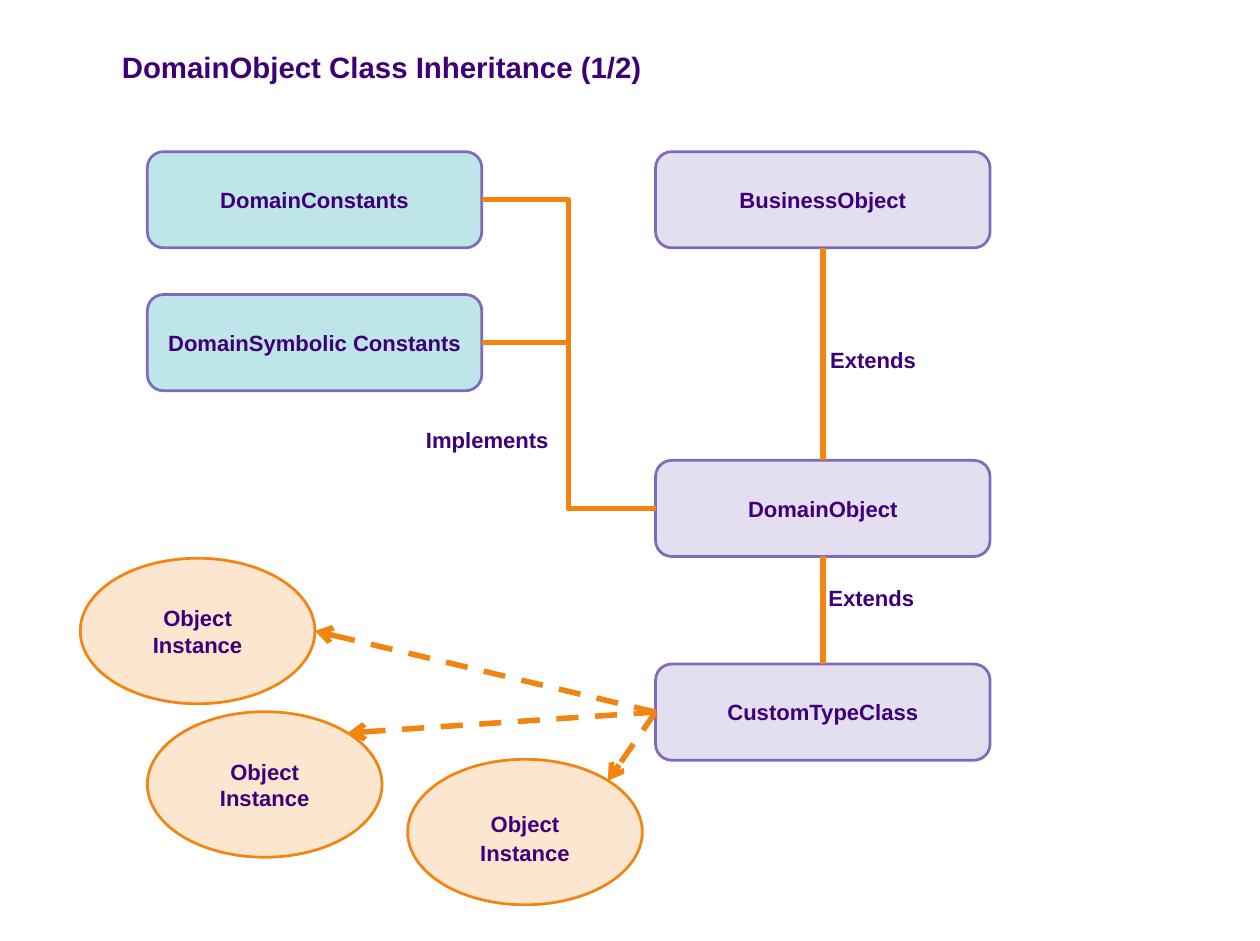
from math import cos, radians, sin

from lxml.etree import SubElement
from pptx import Presentation
from pptx.dml.color import RGBColor
from pptx.enum.dml import MSO_LINE
from pptx.enum.shapes import MSO_CONNECTOR as Link, MSO_SHAPE as Preset
from pptx.enum.text import MSO_ANCHOR, MSO_AUTO_SIZE, PP_ALIGN
from pptx.oxml.ns import qn
from pptx.util import Inches, Pt

COLORS = {
    "text": "3F0077",
    "class": "E3DEF0",
    "interface": "BEE5E8",
    "border": "806ABA",
    "instance": "FCE6CF",
    "accent": "F28411",
}
TOP, LEFT, BOTTOM, RIGHT = range(4)
BOX_SIZE = (3.79, 1.09)
OVAL_SIZE = (2.66, 1.65)
INTERFACE_LEFT, CLASS_LEFT = 1.67, 7.43


def color(name):
    return RGBColor.from_string(COLORS[name])


def add_run(paragraph, text, size=18):
    run = paragraph.add_run()
    run.text = text
    run.font.name = "Arial"
    run.font.size = Pt(size)
    run.font.bold = True
    run.font.color.rgb = color("text")


def set_title(slide, text):
    title = slide.shapes.title
    title.left, title.top = Inches(1.28), Inches(0.5)
    title.width, title.height = Inches(12.47), Inches(0.51)
    title.text_frame.auto_size = MSO_AUTO_SIZE.NONE
    paragraph = title.text_frame.paragraphs[0]
    paragraph.alignment = PP_ALIGN.LEFT
    add_run(paragraph, text, 24)


def add_node(slide, preset, position, size, fill, border, runs):
    shape = slide.shapes.add_shape(preset, *map(Inches, position + size))
    shape.shadow.inherit = False
    shape.fill.solid()
    shape.fill.fore_color.rgb = color(fill)
    shape.line.color.rgb = color(border)
    shape.line.width = Pt(2.25)
    frame = shape.text_frame
    frame.word_wrap = True
    frame.vertical_anchor = MSO_ANCHOR.MIDDLE
    paragraph = frame.paragraphs[0]
    paragraph.alignment = PP_ALIGN.CENTER
    for text, points in runs:
        add_run(paragraph, text, points)
    return shape


def add_box(slide, left, top, fill, name):
    return add_node(slide, Preset.ROUNDED_RECTANGLE, (left, top), BOX_SIZE,
                    fill, "border", [(name, 18)])


def add_instance(slide, left, top, runs):
    return add_node(slide, Preset.OVAL, (left, top), OVAL_SIZE,
                    "instance", "accent", runs)


def add_label(slide, left, top, width, text):
    box = slide.shapes.add_textbox(*map(Inches, (left, top, width, 0.4)))
    box.text_frame.word_wrap = False
    box.text_frame.auto_size = MSO_AUTO_SIZE.SHAPE_TO_FIT_TEXT
    add_run(box.text_frame.paragraphs[0], text)


def add_link(slide, kind, source, source_side, end=(0, 0)):
    connector = slide.shapes.add_connector(kind, 0, 0, *end)
    connector.begin_connect(source, source_side)
    connector.line.color.rgb = color("accent")
    connector.line.width = Pt(4.5)
    SubElement(connector._element.spPr, qn("a:effectLst"))
    return connector


def add_relation(slide, kind, source, source_side, target, target_side):
    connector = add_link(slide, kind, source, source_side)
    connector.end_connect(target, target_side)


def add_instance_arrow(slide, source, oval, angle):
    x = oval.left + oval.width * (1 + cos(radians(angle))) / 2
    y = oval.top + oval.height * (1 - sin(radians(angle))) / 2
    connector = add_link(slide, Link.STRAIGHT, source, LEFT, (int(x), int(y)))
    connector.line.dash_style = MSO_LINE.DASH
    SubElement(connector.get_or_add_ln(), qn("a:tailEnd"), type="arrow")


def main():
    presentation = Presentation()
    presentation.slide_width = Inches(14.28)
    presentation.slide_height = Inches(10.67)
    slide = presentation.slides.add_slide(presentation.slide_layouts[5])
    set_title(slide, "DomainObject Class Inheritance (1/2)")

    business, domain, custom = [
        add_box(slide, CLASS_LEFT, top, "class", name)
        for top, name in [(1.72, "BusinessObject"), (5.22, "DomainObject"),
                          (7.53, "CustomTypeClass")]
    ]
    interfaces = [
        add_box(slide, INTERFACE_LEFT, top, "interface", name)
        for top, name in [(1.72, "DomainConstants"),
                          (3.34, "DomainSymbolic Constants")]
    ]

    for parent, child in [(business, domain), (domain, custom)]:
        add_relation(slide, Link.STRAIGHT, parent, BOTTOM, child, TOP)
    for interface in interfaces:
        add_relation(slide, Link.ELBOW, interface, RIGHT, domain, LEFT)

    add_label(slide, 9.31, 3.88, 1.18, "Extends")
    add_label(slide, 9.29, 6.58, 1.18, "Extends")
    add_label(slide, 4.73, 4.79, 1.6, "Implements")

    plain_runs = [("Object Instance", 18)]
    spaced_runs = [("Object", 18), (" ", 28), ("Instance", 18)]
    for left, top, runs, angle in [(0.91, 6.33, plain_runs, 0),
                                   (1.67, 8.07, plain_runs, 45),
                                   (4.62, 8.61, spaced_runs, 45)]:
        oval = add_instance(slide, left, top, runs)
        add_instance_arrow(slide, custom, oval, angle)

    presentation.save("out.pptx")


if __name__ == "__main__":
    main()
